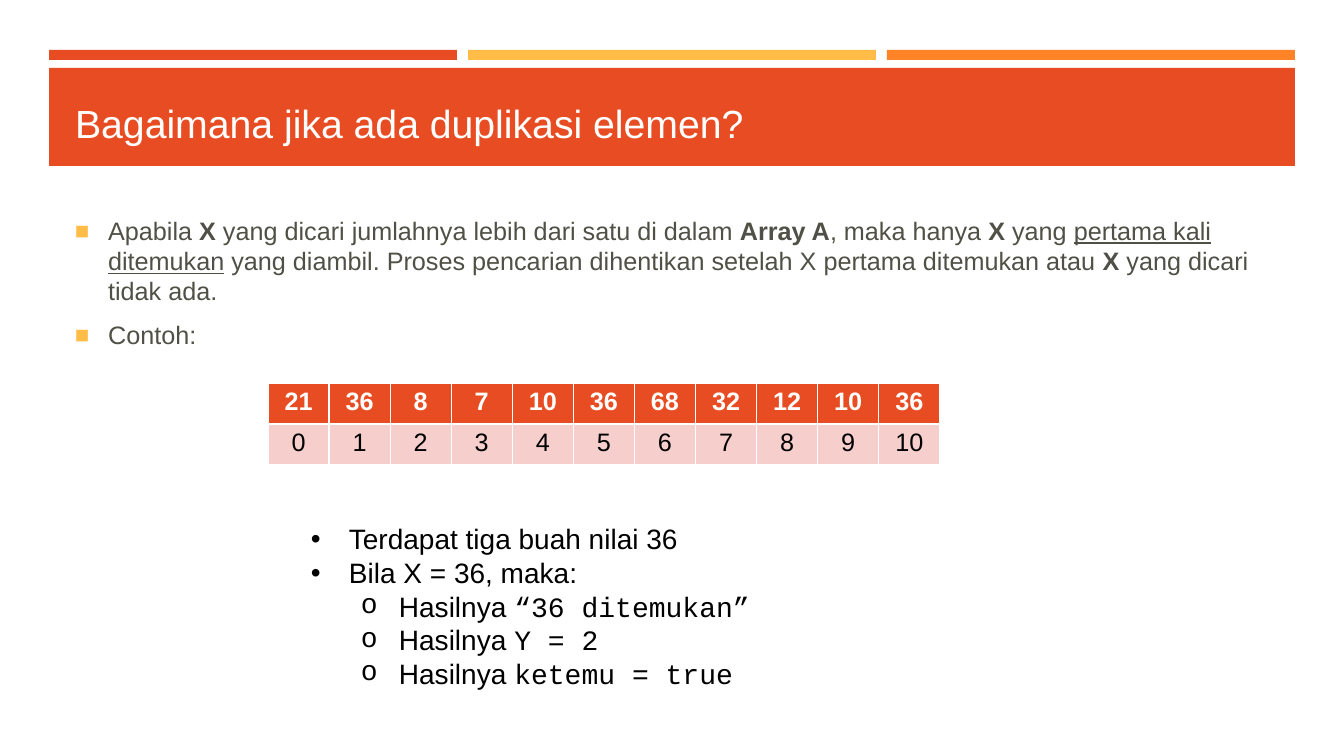
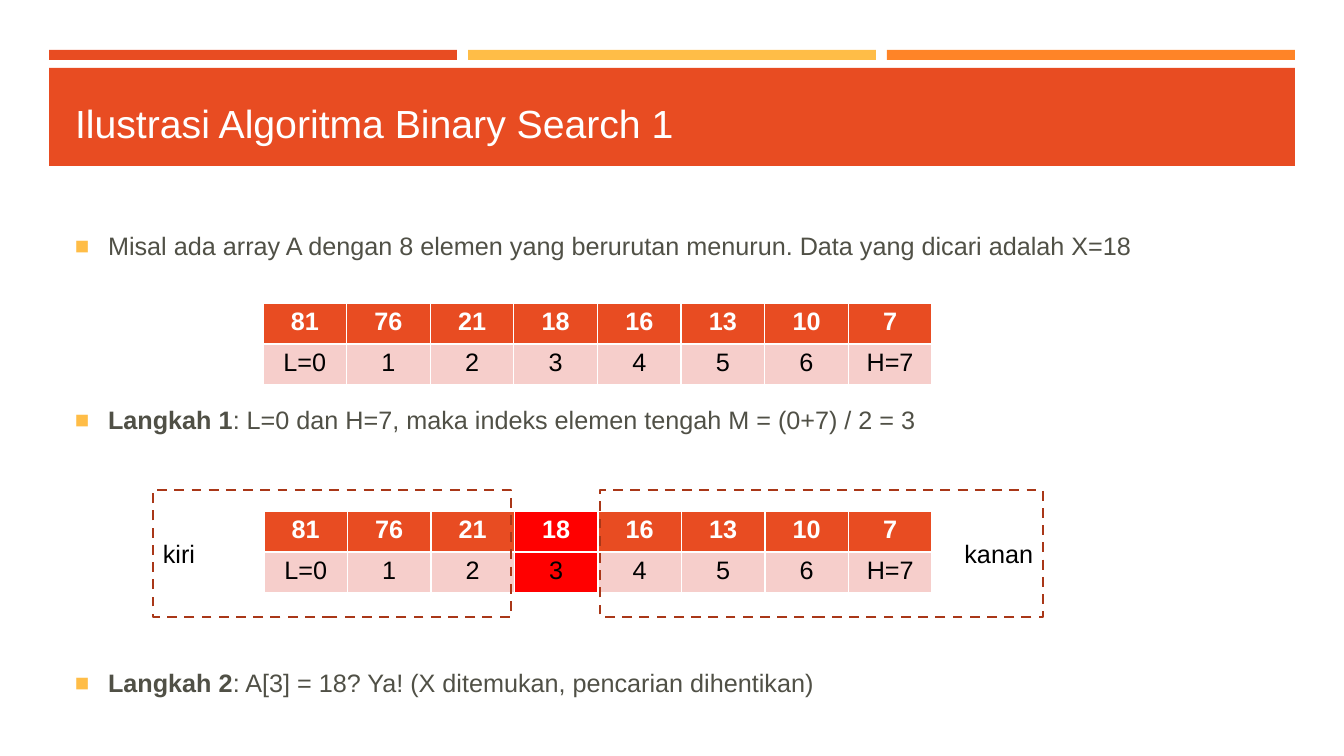
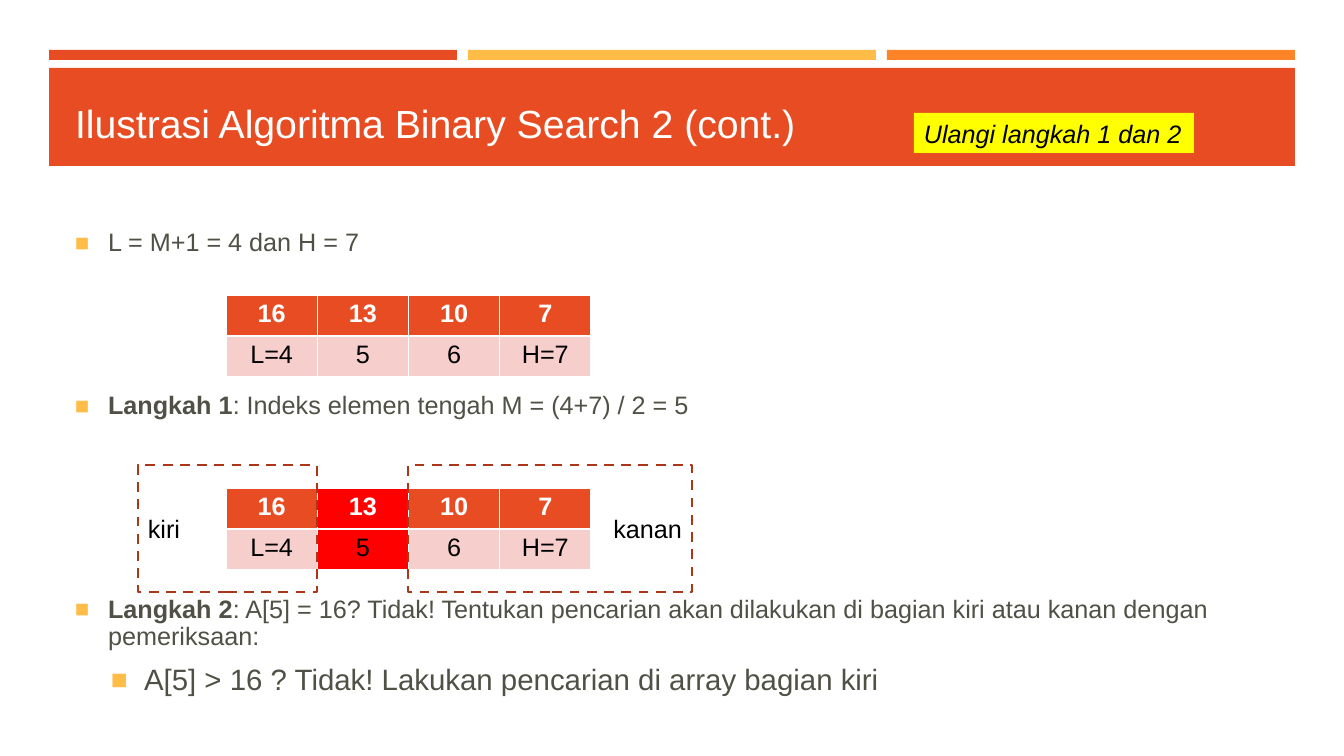
from lxml.etree import SubElement
from pptx import Presentation
from pptx.dml.color import RGBColor
from pptx.enum.dml import MSO_LINE
from pptx.enum.shapes import MSO_SHAPE
from pptx.enum.text import MSO_ANCHOR as Anchor, MSO_AUTO_SIZE as AutoSize, PP_ALIGN as Align
from pptx.oxml.ns import qn
from pptx.util import Pt

EMU_PER_PX = 914400 / 100.8

WHITE = RGBColor(0xFF, 0xFF, 0xFF)
BLACK = RGBColor(0x00, 0x00, 0x00)
RED_ORANGE = RGBColor(0xE8, 0x4C, 0x22)
ORANGE = RGBColor(0xFF, 0x84, 0x27)
GOLD = RGBColor(0xFF, 0xBD, 0x47)
BRICK = RGBColor(0xA9, 0x37, 0x18)
PINK = RGBColor(0xF6, 0xCE, 0xCB)
RED = RGBColor(0xFF, 0x00, 0x00)
YELLOW = RGBColor(0xFF, 0xFF, 0x00)
OLIVE_GRAY = RGBColor(0x50, 0x50, 0x46)

PLAIN = {}
BOLD = {"bold": True}
UNDERLINED = {"underline": True}
CODE = {"font": "Courier New"}


def px(*lengths):
    return [round(length * EMU_PER_PX) for length in lengths]


def write(para, text, size=18, color=BLACK, font="Arial", bold=False, italic=False,
          underline=False, align=Align.LEFT, bullet=None, bullet_color=BLACK,
          bullet_font="Arial", bullet_size=100, left=0, hang=0):
    para.alignment = align
    span = para.add_run()
    span.text = text
    span.font.size = Pt(size)
    span.font.name = font
    span.font.color.rgb = color
    span.font.bold = bold
    span.font.italic = italic
    span.font.underline = underline
    props = para._p.get_or_add_pPr()
    if bullet and props.find(qn("a:buChar")) is None:
        indent, first = px(left, -hang)
        props.set("marL", str(indent))
        props.set("indent", str(first))
        SubElement(SubElement(props, qn("a:buClr")), qn("a:srgbClr"), val=str(bullet_color))
        SubElement(props, qn("a:buSzPct"), val=str(bullet_size * 1000))
        SubElement(props, qn("a:buFont"), typeface=bullet_font)
        SubElement(props, qn("a:buChar"), char=bullet)


PAGES = [
    {
        "title": "Bagaimana jika ada duplikasi elemen?",
        "body": (210, 176, 1.0),
        "lines": [
            (0, 0, [
                ("Apabila ", PLAIN), ("X", BOLD),
                (" yang dicari jumlahnya lebih dari satu di dalam ", PLAIN), ("Array A", BOLD),
                (", maka hanya ", PLAIN), ("X", BOLD), (" yang ", PLAIN),
                ("pertama kali ditemukan", UNDERLINED),
                (" yang diambil. Proses pencarian dihentikan setelah X pertama ditemukan atau ", PLAIN),
                ("X ", BOLD), ("yang dicari tidak ada.", PLAIN)]),
            (0, 9.6, [("Contoh:", PLAIN)]),
        ],
        "values": [21, 36, 8, 7, 10, 36, 68, 32, 12, 10, 36],
        "labels": list(range(11)),
        "tables": [(268, 383, 672, None)],
        "halves": [],
    },
    {
        "title": "Ilustrasi Algoritma Binary Search 1",
        "body": (225, 509, 1.0),
        "lines": [
            (0, 0, [("Misal ada array A dengan 8 elemen yang berurutan menurun. "
                     "Data yang dicari adalah X=18", PLAIN)]),
            (0, 103, [("Langkah 1", BOLD),
                      (": L=0 dan H=7, maka indeks elemen tengah M = (0+7) / 2 = 3", PLAIN)]),
            (0, 166, [("Langkah 2", BOLD),
                      (": A[3] = 18? Ya! (X ditemukan, pencarian dihentikan)", PLAIN)]),
        ],
        "values": [81, 76, 21, 18, 16, 13, 10, 7],
        "labels": ["L=0", 1, 2, 3, 4, 5, 6, "H=7"],
        "tables": [(263, 303, 669, None), (264, 511, 668, 3)],
        "halves": [("kiri", Align.LEFT, 153, 490, 358), ("kanan", Align.RIGHT, 600, 490, 443)],
    },
    {
        "title": "Ilustrasi Algoritma Binary Search 2 (cont.)",
        "body": (225, 516, 0.9),
        "lines": [
            (0, 0, [("L = M+1 = 4 dan H = 7", PLAIN)]),
            (0, 97, [("Langkah 1", BOLD), (": Indeks elemen tengah M = (4+7) / 2 = 5", PLAIN)]),
            (0, 126, [("Langkah 2", BOLD),
                      (": A[5] = 16? Tidak! Tentukan pencarian akan dilakukan di bagian kiri "
                       "atau kanan dengan pemeriksaan:", PLAIN)]),
            (1, 10.2, [("A[5] > 16 ? Tidak! Lakukan pencarian di array bagian kiri", {"size": 21})]),
        ],
        "values": [16, 13, 10, 7],
        "labels": ["L=4", 5, 6, "H=7"],
        "tables": [(226, 295, 365, None), (226, 488, 365, 1)],
        "halves": [("kiri", Align.LEFT, 138, 465, 179), ("kanan", Align.RIGHT, 408, 465, 284)],
    },
]

deck = Presentation()
deck.slide_width, deck.slide_height = px(1344, 756)
layout = deck.slide_layouts[1]
for holder in list(layout.placeholders):
    if holder.placeholder_format.idx >= 10:
        holder.element.getparent().remove(holder.element)
layout_title, layout_body = layout.placeholders
layout_title.left, layout_title.top, layout_title.width, layout_title.height = px(65, 78, 1216, 89)
layout_body.left, layout_body.top, layout_body.width, layout_body.height = px(65, 225, 1216, 509)

pages = [deck.slides.add_slide(layout) for _ in PAGES]

bands = [(49 + 419 * i, 50, 408, 10, color) for i, color in enumerate([RED_ORANGE, GOLD, ORANGE])]
bands.append((49, 68, 1246, 98, RED_ORANGE))
band_shapes = []
for left, top, width, height, color in bands:
    band = pages[0].shapes.add_shape(MSO_SHAPE.RECTANGLE, *px(left, top, width, height))
    band.shadow.inherit = False
    band.fill.solid()
    band.fill.fore_color.rgb = color
    band.line.fill.background()
    band_shapes.append(band)
for band in band_shapes:
    layout.shapes.element.insert(2, band.element)

for page, content in zip(pages, PAGES):
    title = page.shapes.title.text_frame
    title.auto_size = AutoSize.NONE
    title.vertical_anchor = Anchor.MIDDLE
    write(title.paragraphs[0], content["title"], size=28, color=WHITE)

    body = page.placeholders[1]
    top, height, line_spacing = content["body"]
    body.left, body.top, body.width, body.height = px(65, top, 1216, height)
    frame = body.text_frame
    frame.auto_size = AutoSize.NONE
    for number, (level, gap, spans) in enumerate(content["lines"]):
        para = frame.add_paragraph() if number else frame.paragraphs[0]
        para.level = level
        para.line_spacing = line_spacing
        para.space_before = Pt(gap)
        for text, style in spans:
            write(para, text, color=OLIVE_GRAY, bullet="◼", bullet_color=GOLD,
                  bullet_size=90, left=33 + 36 * level, hang=33, **style)

    values, labels = content["values"], content["labels"]
    for left, top, width, middle in content["tables"]:
        table = page.shapes.add_table(2, len(values), *px(left, top, width, 82)).table
        for row, texts in enumerate([values, labels]):
            for column, text in enumerate(texts):
                cell = table.cell(row, column)
                cell.fill.solid()
                cell.fill.fore_color.rgb = RED if column == middle else (RED_ORANGE, PINK)[row]
                write(cell.text_frame.paragraphs[0], str(text), bold=row == 0,
                      color=(WHITE, BLACK)[row], align=Align.CENTER)

    for text, align, left, top, width in content["halves"]:
        half = page.shapes.add_shape(MSO_SHAPE.RECTANGLE, *px(left, top, width, 127))
        half.shadow.inherit = False
        half.fill.background()
        half.line.color.rgb = BRICK
        half.line.width = Pt(1.75)
        half.line.dash_style = MSO_LINE.DASH
        half.text_frame.vertical_anchor = Anchor.MIDDLE
        write(half.text_frame.paragraphs[0], text, align=align)

results = pages[0].shapes.add_textbox(*px(251, 517, 672, 179)).text_frame
results.word_wrap = True
result_lines = [
    (1, [("Terdapat tiga buah nilai 36", PLAIN)]),
    (1, [("Bila X = 36, maka:", PLAIN)]),
    (2, [("Hasilnya ", PLAIN), ("“36 ditemukan”", CODE)]),
    (2, [("Hasilnya ", PLAIN), ("Y = 2", CODE)]),
    (2, [("Hasilnya ", PLAIN), ("ketemu = true", CODE)]),
]
for number, (level, spans) in enumerate(result_lines):
    para = results.add_paragraph() if number else results.paragraphs[0]
    para.level = level
    for text, style in spans:
        write(para, text, size=20, bullet="•" if level == 1 else "o",
              bullet_font="Arial" if level == 1 else "Courier New",
              left=38 + 50 * level, hang=38, **style)

note = pages[2].shapes.add_textbox(*px(914, 113, 280, 40))
note.fill.solid()
note.fill.fore_color.rgb = YELLOW
note.text_frame.word_wrap = True
write(note.text_frame.paragraphs[0], "Ulangi langkah 1 dan 2", italic=True)

deck.save("out.pptx")
